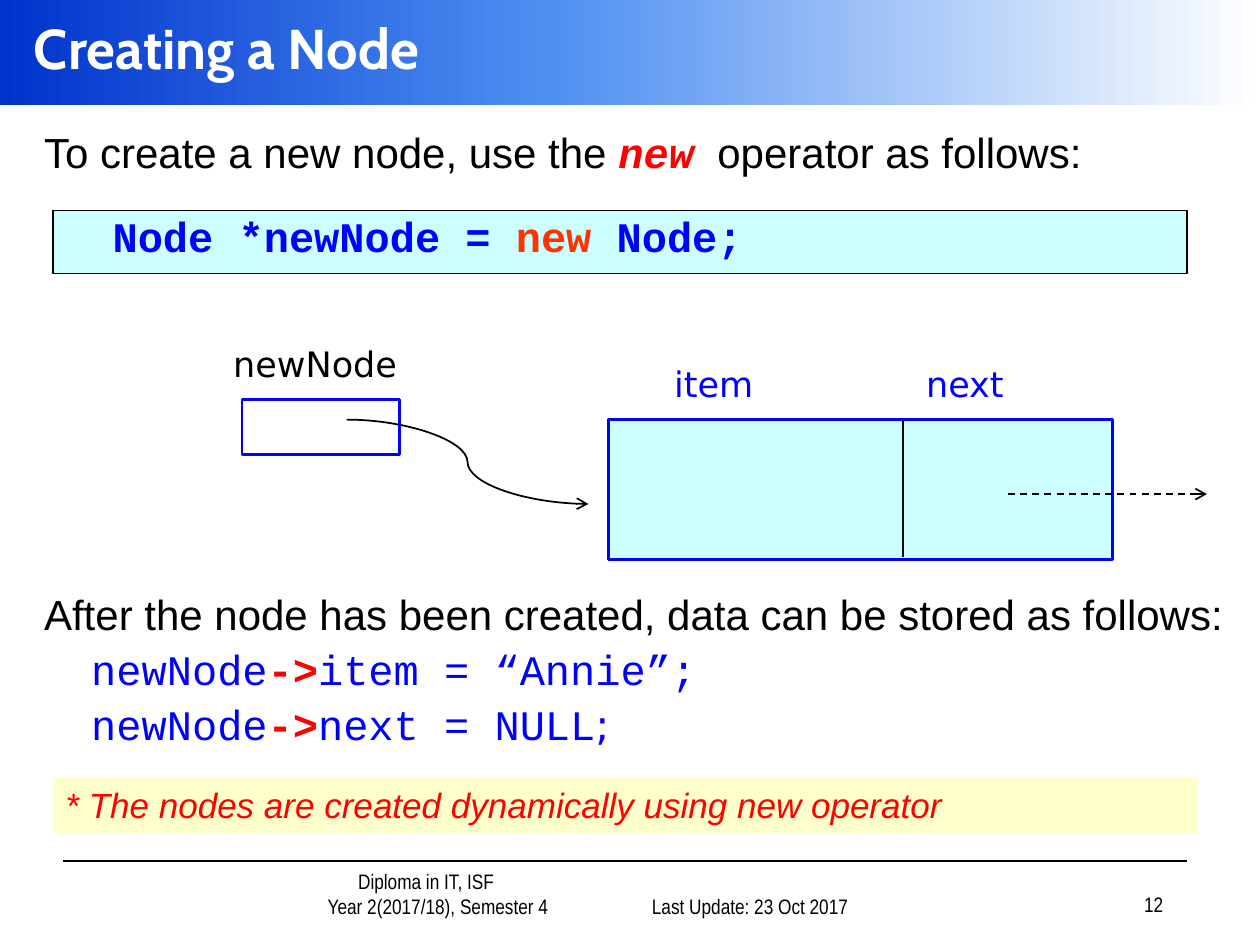
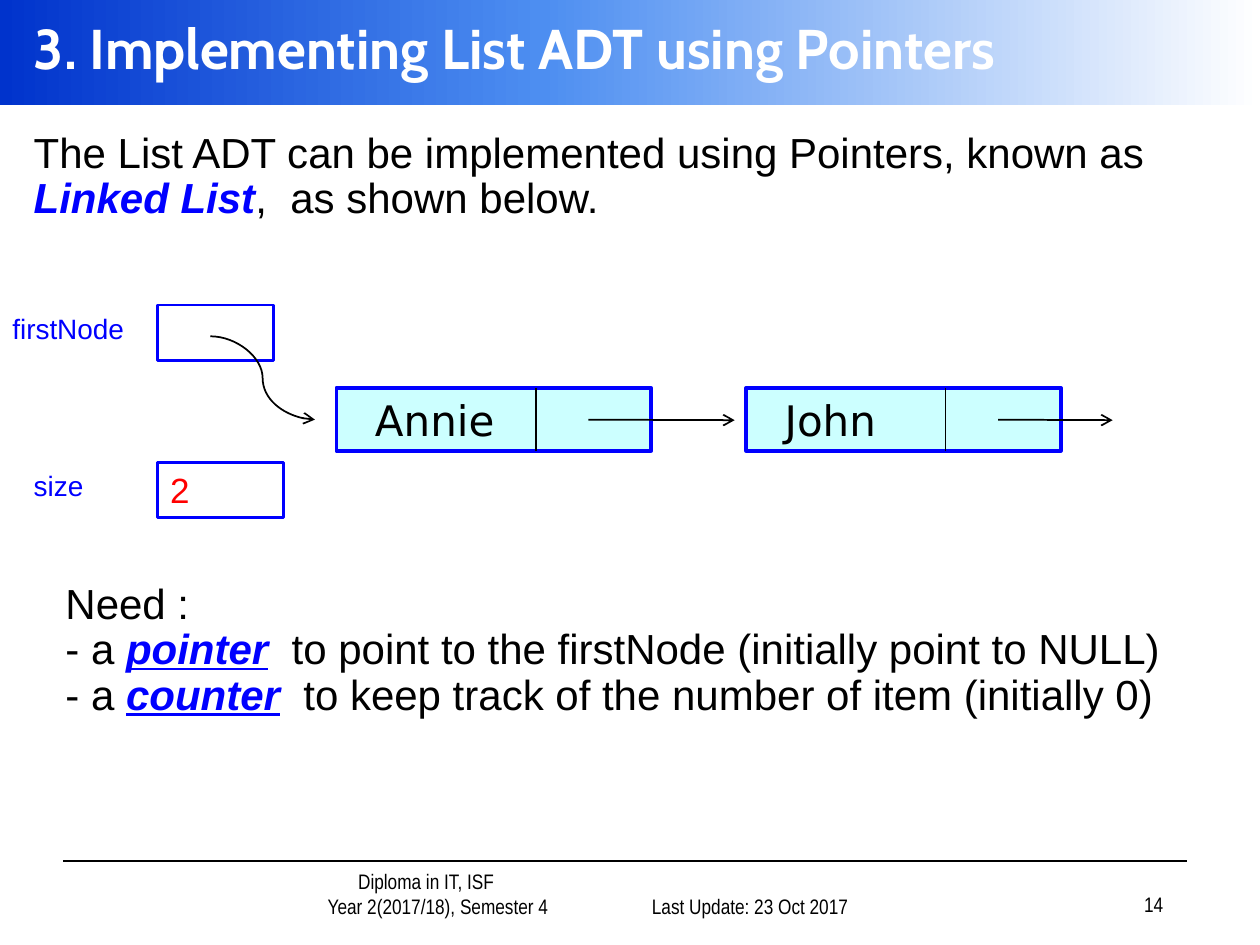
"""Build two lecture slides on creating nodes and on linked lists."""
import pptx
import pptx.dml.color
import pptx.enum.dml
import pptx.enum.shapes
import pptx.enum.text
import pptx.oxml
import pptx.oxml.ns
import pptx.util
from pptx.util import Cm

COLORS = {
    "black": "000000", "white": "FFFFFF", "blue": "0000FF", "red": "FF0000",
    "orange": "FF3300", "cyan": "CCFFFF", "cream": "FFFFCC",
    "band start": "0033CC", "band middle": "4D8EF1",
}
ALIGN = pptx.enum.text.PP_ALIGN
ANCHOR = pptx.enum.text.MSO_ANCHOR
CONNECTOR = pptx.enum.shapes.MSO_CONNECTOR
RECTANGLE = pptx.enum.shapes.MSO_SHAPE.RECTANGLE
CODE, LABEL = "Courier New", "DejaVu Sans"
NODE_WIDTH, NODE_HEIGHT = 6.35, 1.27


def rgb(name):
    return pptx.dml.color.RGBColor.from_string(COLORS[name])


def run(text, color="black", font="Arial", size=24, bold=False, italic=False, underline=False):
    return dict(text=text, color=color, font=font, size=size,
                bold=bold, italic=italic, underline=underline)


def write(shape, paragraphs, align=ALIGN.LEFT, anchor=ANCHOR.TOP, spacing=1.0, before=0, indents=()):
    """Fill a shape with paragraphs, each a list of runs; indents are in cm."""
    frame = shape.text_frame
    frame.word_wrap = True
    frame.auto_size = pptx.enum.text.MSO_AUTO_SIZE.NONE
    frame.vertical_anchor = anchor
    for index, runs in enumerate(paragraphs):
        paragraph = frame.add_paragraph() if index else frame.paragraphs[0]
        paragraph.alignment = align
        paragraph.line_spacing = spacing
        paragraph.space_before = pptx.util.Pt(before)
        if indents:
            properties = paragraph._p.get_or_add_pPr()
            properties.set("marL", str(Cm(indents[index])))
            properties.set("indent", "0")
        for item in runs:
            piece = paragraph.add_run()
            piece.text = item["text"]
            font = piece.font
            font.name = item["font"]
            font.size = pptx.util.Pt(item["size"])
            font.color.rgb = rgb(item["color"])
            font.bold = item["bold"]
            font.italic = item["italic"]
            font.underline = item["underline"]


def add_text(slide, left, top, width, height, paragraphs, **layout):
    shape = slide.shapes.add_textbox(Cm(left), Cm(top), Cm(width), Cm(height))
    write(shape, paragraphs, **layout)


def add_box(slide, left, top, width, height, fill=None, line=None, weight=1.5):
    shape = slide.shapes.add_shape(RECTANGLE, Cm(left), Cm(top), Cm(width), Cm(height))
    shape.shadow.inherit = False
    if fill:
        shape.fill.solid()
        shape.fill.fore_color.rgb = rgb(fill)
    else:
        shape.fill.background()
    if line:
        shape.line.color.rgb = rgb(line)
        shape.line.width = pptx.util.Pt(weight)
    else:
        shape.line.fill.background()
    return shape


def add_line(slide, start, end, kind=CONNECTOR.STRAIGHT, arrow=False, dashed=False):
    connector = slide.shapes.add_connector(kind, *map(Cm, start + end))
    connector.line.color.rgb = rgb("black")
    connector.line.width = pptx.util.Pt(1)
    if dashed:
        connector.line.dash_style = pptx.enum.dml.MSO_LINE.DASH
    if arrow:
        tail = pptx.oxml.parse_xml(
            f'<a:tailEnd {pptx.oxml.ns.nsdecls("a")} type="arrow"/>')
        connector.line._get_or_add_ln().append(tail)
    effects = pptx.oxml.parse_xml(f'<a:effectLst {pptx.oxml.ns.nsdecls("a")}/>')
    connector._element.spPr.append(effects)


def add_band(slide):
    """Draw the gradient band behind the title."""
    band = add_box(slide, 0, 0, 25.4, 2.11)
    band.fill.gradient()
    band.fill.gradient_angle = 0
    stops = "".join(
        f'<a:gs pos="{position}000"><a:srgbClr val="{COLORS[name]}"/></a:gs>'
        for position, name in ((0, "band start"), (43, "band middle"), (100, "white")))
    stop_list = pptx.oxml.parse_xml(
        f'<a:gsLst {pptx.oxml.ns.nsdecls("a")}>{stops}</a:gsLst>')
    old_list = band._element.spPr.find(".//" + pptx.oxml.ns.qn("a:gsLst"))
    old_list.getparent().replace(old_list, stop_list)
    slide.shapes.title._element.addprevious(band._element)


def add_footer(slide, number):
    def small(text):
        return [run(text, font="Arial Narrow", size=12)]

    add_line(slide, (1.27, 17.35), (23.93, 17.35))
    add_text(slide, 4.27, 17.58, 7.37, 1.07,
             [small("Diploma in IT, ISF"), small("Year 2(2017/18), Semester 4")],
             align=ALIGN.CENTER, anchor=ANCHOR.BOTTOM, indents=(1.27, 1.75))
    for left, top, text in ((12.07, 17.58, "Last Update: 23 Oct 2017"),
                            (18.42, 17.53, str(number))):
        add_text(slide, left, top, 5.28, 1.07, [small(text)],
                 align=ALIGN.RIGHT, anchor=ANCHOR.BOTTOM)


def add_slide(presentation, title, number):
    slide = presentation.slides.add_slide(presentation.slide_layouts[5])
    shape = slide.shapes.title
    shape.left, shape.top, shape.width, shape.height = map(Cm, (0.43, 0, 24.97, 1.9))
    write(shape, [[run(title, "white", "Cabin", 32, bold=True)]], anchor=ANCHOR.MIDDLE)
    add_band(slide)
    add_footer(slide, number)
    return slide


def add_list_node(slide, left, name, arrow_end):
    """Draw a node with its name, divider and outgoing pointer."""
    top = 7.82
    box = add_box(slide, left, top, NODE_WIDTH, NODE_HEIGHT, "cyan", "blue", 2)
    write(box, [[run(name, font=LABEL)]], indents=(0.53,))
    add_line(slide, (left + 4.02, top), (left + 4.02, top + NODE_HEIGHT))
    add_line(slide, (left + 5.08, 8.46), (arrow_end, 8.47), arrow=True)


def build_creating_node(presentation):
    slide = add_slide(presentation, "Creating a Node", 12)
    add_text(slide, 0.64, 2.54, 23.93, 1.27, [[
        run("To create a new node, use the "),
        run("new", "red", CODE, bold=True, italic=True),
        run("  operator as follows:")]], spacing=0.9)
    code = add_box(slide, 1.07, 4.24, 22.86, 1.27, "cyan", "black", 0.75)
    write(code, [[run("Node *newNode = ", "blue", CODE, bold=True),
                  run("new", "orange", CODE, bold=True),
                  run(" Node;", "blue", CODE, bold=True)]], spacing=0.9, indents=(0.95,))

    add_box(slide, 12.27, 8.46, 10.16, 2.82, "cyan", "blue", 2)
    add_line(slide, (18.21, 8.46), (18.21, 11.23))
    for left, top, width, text, color in ((13.34, 7.19, 3.38, "item", "blue"),
                                          (18.42, 7.19, 3.38, "next", "blue"),
                                          (4.45, 6.78, 4.01, "newNode", "black")):
        add_text(slide, left, top, width, 1.12, [[run(text, color, LABEL, 20)]])
    add_line(slide, (20.32, 9.96), (24.33, 9.96), arrow=True, dashed=True)
    add_box(slide, 4.88, 8.05, 3.18, 1.12, line="blue")
    add_line(slide, (6.99, 8.46), (11.86, 10.16), CONNECTOR.CURVE, arrow=True)

    def assignment(*rest):
        return [run("newNode", "blue", CODE), run("->", "red", CODE, bold=True), *rest]

    add_text(slide, 0.64, 11.86, 24.33, 3.38, [
        [run("After the node has been created, data can be stored as follows:")],
        assignment(run("item = “Annie”;", "blue", CODE)),
        assignment(run("next = NULL", "blue", CODE), run(";", "blue", LABEL)),
    ], spacing=0.9, before=5.5, indents=(0, 0.95, 0.95))
    note = add_box(slide, 1.07, 15.67, 23.06, 1.12, "cream")
    write(note, [[run("* The nodes are created dynamically using new operator",
                      "red", size=20, italic=True)]])


def build_linked_list(presentation):
    slide = add_slide(presentation, "3. Implementing List ADT using Pointers", 14)
    add_text(slide, 0.43, 2.54, 24.56, 2.34, [[
        run("The List ADT can be implemented using Pointers, known as "),
        run("Linked List", "blue", bold=True, italic=True),
        run(",  as shown below.")]], spacing=0.9)

    add_list_node(slide, 6.78, "Annie", 14.81)
    add_list_node(slide, 15.04, "John", 22.43)
    add_box(slide, 3.18, 6.15, 2.34, 1.12, line="blue")
    add_line(slide, (4.24, 6.78), (6.35, 8.46), CONNECTOR.CURVE, arrow=True)
    counter = add_box(slide, 3.18, 9.32, 2.54, 1.12, line="blue")
    write(counter, [[run("2", "red", size=20)]])
    for left, top, width, text in ((0, 6.15, 3.38, "firstNode"), (0.43, 9.32, 2.11, "size")):
        add_text(slide, left, top, width, 0.94, [[run(text, "blue", size=16)]])

    def need(term, purpose):
        return [run("- a "), run(term, "blue", bold=True, italic=True, underline=True),
                run(purpose)]

    add_text(slide, 1.07, 11.63, 23.5, 5.08, [
        [run("Need :")],
        need("pointer", "  to point to the firstNode (initially point to NULL)"),
        need("counter", "  to keep track of the number of item (initially 0)"),
    ], spacing=0.9)


def main():
    presentation = pptx.Presentation()
    presentation.slide_width, presentation.slide_height = Cm(25.4), Cm(19.05)
    build_creating_node(presentation)
    build_linked_list(presentation)
    presentation.save("out.pptx")


main()
